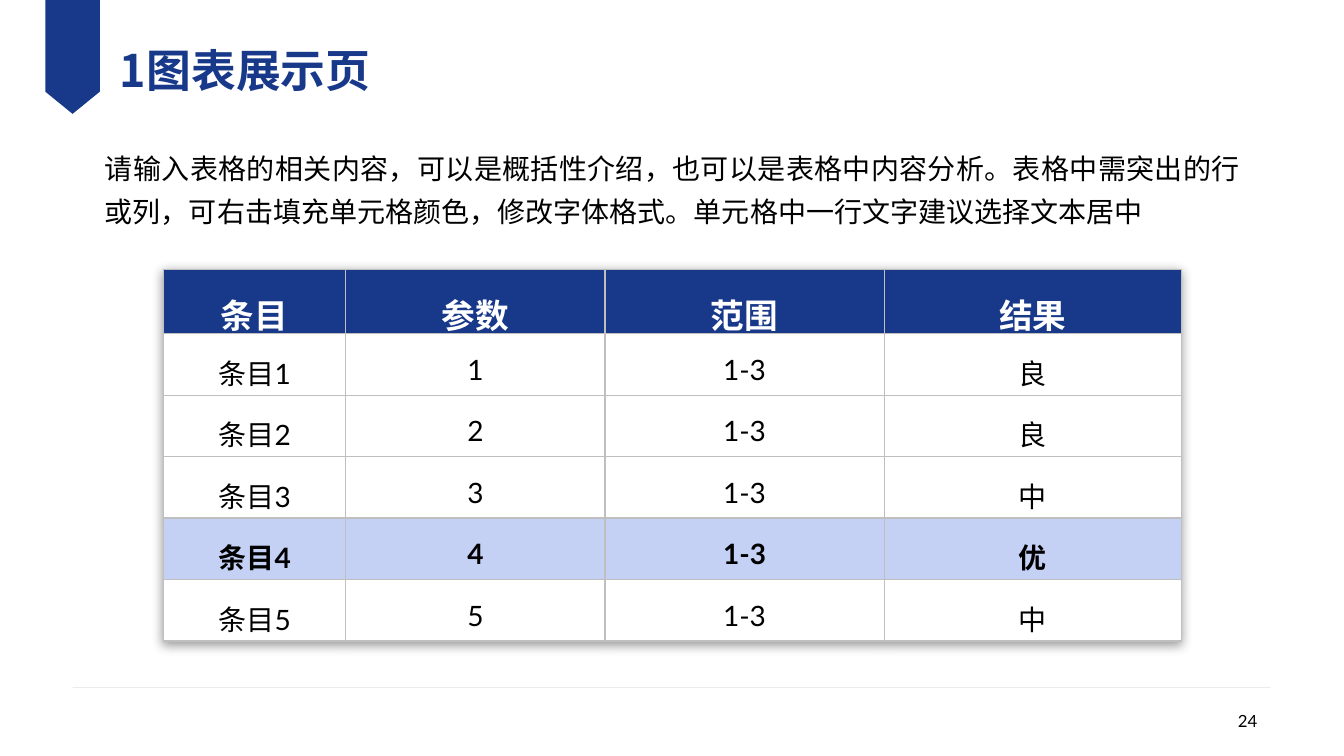
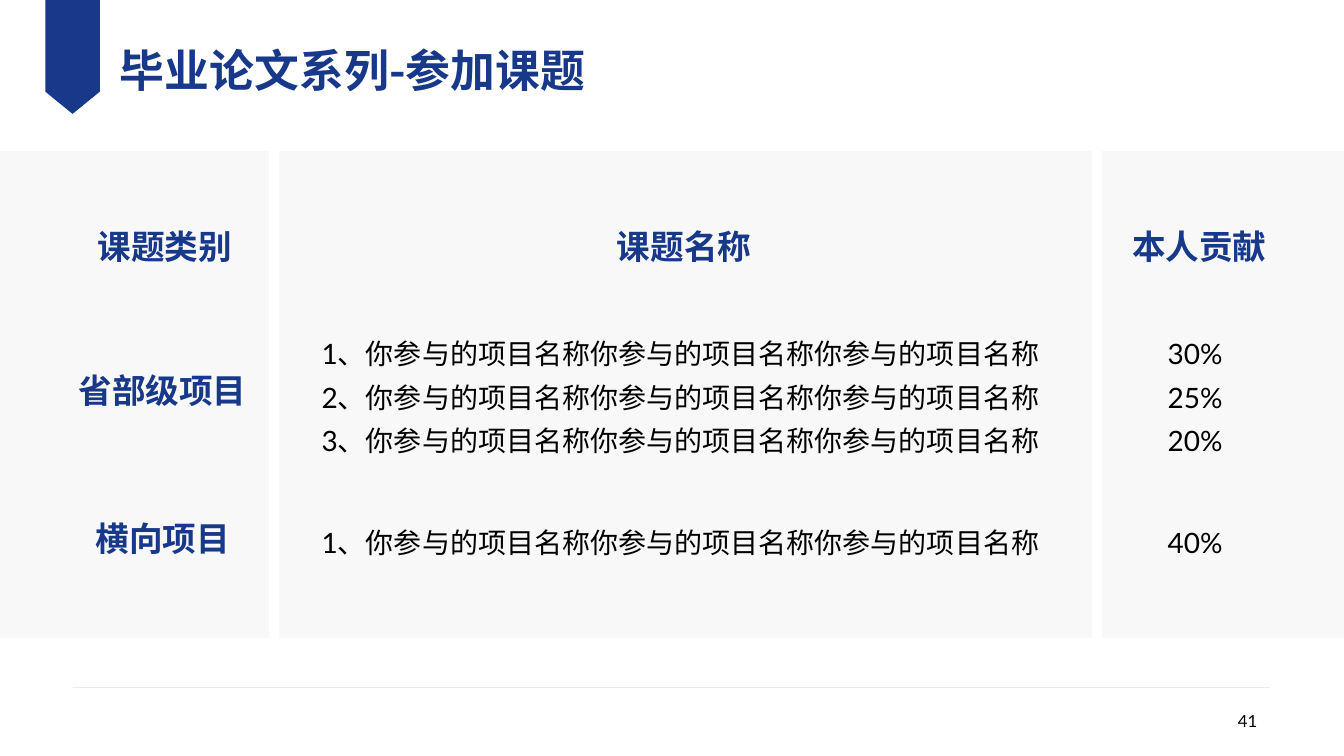
from lxml import etree
from pptx import Presentation
from pptx.dml.color import RGBColor
from pptx.enum.shapes import MSO_CONNECTOR, MSO_SHAPE
from pptx.enum.text import MSO_ANCHOR, MSO_AUTO_SIZE, PP_ALIGN
from pptx.oxml.ns import qn
from pptx.util import Inches, Pt

LEFT, CENTER, RIGHT = PP_ALIGN.LEFT, PP_ALIGN.CENTER, PP_ALIGN.RIGHT
JUSTIFY = PP_ALIGN.JUSTIFY
TOP, MIDDLE = MSO_ANCHOR.TOP, MSO_ANCHOR.MIDDLE
FIXED = MSO_AUTO_SIZE.NONE
RECT, STRAIGHT = MSO_SHAPE.RECTANGLE, MSO_CONNECTOR.STRAIGHT

NAVY, PALE, PANEL, GRAY = "18388A", "C4D1F5", "F2F2F2", "BFBFBF"
BLACK, WHITE = "000000", "FFFFFF"
LATIN, HAN = "Lato", "Noto Sans CJK SC"
WIDTH, HEIGHT = 13.33, 7.5

TABLE = [
    ("条目", "参数", "范围", "结果"),
    ("条目1", "1", "1-3", "良"),
    ("条目2", "2", "1-3", "良"),
    ("条目3", "3", "1-3", "中"),
    ("条目4", "4", "1-3", "优"),
    ("条目5", "5", "1-3", "中"),
]
BEST = 4
INTRO = ("请输入表格的相关内容，可以是概括性介绍，也可以是表格中内容分析。"
         "表格中需突出的行或列，可右击填充单元格颜色，修改字体格式。"
         "单元格中一行文字建议选择文本居中")
NAME = "你参与的项目名称" * 3


def color(code):
    return RGBColor.from_string(code)


def paint(shape, code):
    shape.fill.solid()
    shape.fill.fore_color.rgb = color(code)
    shape.line.fill.background()
    shape.shadow.inherit = False


def fade(shape, percent):
    tone = next(shape._element.iter(qn("a:srgbClr")))
    etree.SubElement(tone, qn("a:alpha"), val=str(percent * 1000))


def style(para, size, code, bold=False, align=LEFT, space=None, face=LATIN):
    para.alignment = align
    if space:
        para.line_spacing = space
    font = para.font
    font.size, font.bold, font.name = Pt(size), bold, face
    font.color.rgb = color(code)
    base = para._p.pPr.find(qn("a:defRPr"))
    etree.SubElement(base, qn("a:ea"), typeface=HAN)


def write(frame, lines, side=0.1, anchor=TOP, **look):
    frame.word_wrap = True
    frame.vertical_anchor = anchor
    frame.margin_left = frame.margin_right = Inches(side)
    frame.margin_top = frame.margin_bottom = Inches(0.05)
    for i, line in enumerate(lines):
        para = frame.add_paragraph() if i else frame.paragraphs[0]
        para.text = line
        style(para, **look)


def label(slide, box, lines, **look):
    shape = slide.shapes.add_textbox(*map(Inches, box))
    write(shape.text_frame, lines, **look)


def body(slide, box, lines, align=LEFT):
    label(slide, box, lines, side=0, size=20, code=BLACK, align=align, space=1.3)


def heading(slide, x, y, text, width=1.55):
    label(slide, (x, y, width, 0.5), [text], size=24, code=NAVY, bold=True)


def badge(slide, x, width, side, tip):
    start = slide.shapes.build_freeform(Inches(x), 0)
    points = [(x + width, 0), (x + width, side), (x + width / 2, tip), (x, side)]
    start.add_line_segments([(Inches(a), Inches(b)) for a, b in points])
    paint(start.convert_to_shape(), NAVY)


def rule(slide, x, y, width):
    line = slide.shapes.add_connector(
        STRAIGHT, Inches(x), Inches(y), Inches(x + width), Inches(y))
    line.line.width = Pt(0.25)
    line.line.color.rgb = color(GRAY)
    fade(line, 47)
    etree.SubElement(line._element.spPr, qn("a:effectLst"))


def base(deck, title, number):
    slide = deck.slides.add_slide(deck.slide_layouts[5])
    rule(slide, 0.72, 6.82, 11.88)
    badge(slide, 0.45, 0.54, 0.91, 1.13)
    head = slide.shapes.title
    head.left, head.top, head.width, head.height = map(
        Inches, (1.19, 0.26, 8.93, 0.86))
    write(head.text_frame, [title], side=0, anchor=MIDDLE,
          size=32, code=NAVY, bold=True, face=HAN)
    head.text_frame.auto_size = FIXED
    label(slide, (9.57, 6.95, 3, 0.4), [number], anchor=MIDDLE,
          size=12, code=BLACK, align=RIGHT)
    return slide


def border(cell):
    props = cell._tc.get_or_add_tcPr()
    for side in ("lnL", "lnR", "lnT", "lnB"):
        edge = etree.SubElement(props, qn("a:" + side), w=str(Pt(1)))
        fill = etree.SubElement(edge, qn("a:solidFill"))
        etree.SubElement(fill, qn("a:srgbClr"), val=GRAY)


def shade(table):
    props = table._tbl.tblPr
    effect = etree.Element(qn("a:effectLst"))
    props.insert(0, effect)
    cast = etree.SubElement(effect, qn("a:outerShdw"), blurRad=str(Pt(8)),
                            dist=str(Pt(2)), dir="5400000", algn="t")
    tone = etree.SubElement(cast, qn("a:srgbClr"), val=BLACK)
    etree.SubElement(tone, qn("a:alpha"), val="40000")


def grid(slide, x, y, widths, height):
    frame = slide.shapes.add_table(
        len(TABLE), len(widths), Inches(x), Inches(y),
        Inches(sum(widths)), Inches(height * len(TABLE)))
    table = frame.table
    table.first_row = table.horz_banding = False
    shade(table)
    for column, width in zip(table.columns, widths):
        column.width = Inches(width)
    for r, values in enumerate(TABLE):
        table.rows[r].height = Inches(height)
        top = r == 0
        back = NAVY if top else PALE if r == BEST else WHITE
        for c, value in enumerate(values):
            cell = table.cell(r, c)
            border(cell)
            cell.fill.solid()
            cell.fill.fore_color.rgb = color(back)
            cell.vertical_anchor = MIDDLE
            cell.margin_left = cell.margin_right = Inches(0.11)
            cell.margin_top = cell.margin_bottom = Inches(0.06)
            para = cell.text_frame.paragraphs[0]
            para.text = value
            style(para, 24 if top else 20, WHITE if top else BLACK,
                  bold=top or r == BEST, align=CENTER, space=1.3)


def panels(slide, y, height, widths, gap):
    x = 0
    for width in widths:
        panel = slide.shapes.add_shape(
            RECT, *map(Inches, (x, y, width, height)))
        paint(panel, PANEL)
        fade(panel, 50)
        x += width + gap


def group(slide, y, height, shares):
    names = [f"{i}、{NAME}" for i in range(1, len(shares) + 1)]
    body(slide, (3.19, y, 7.2, height), names)
    body(slide, (11.58, y, 0.65, height), shares)


def chart_page(deck):
    slide = base(deck, "1图表展示页", "24")
    grid(slide, 1.62, 2.67, (1.81, 2.57, 2.77, 2.95), 0.61)
    body(slide, (1.04, 1.35, 11.26, 1.06), [INTRO], JUSTIFY)


def topic_page(deck):
    slide = base(deck, "毕业论文系列-参加课题", "41")
    panels(slide, 1.5, 4.83, (2.67, 8.06, 2.4), 0.1)
    for x, text in ((0.87, "课题类别"), (6.02, "课题名称"), (11.13, "本人贡献")):
        heading(slide, x, 2.19, text)
    heading(slide, 0.68, 3.62, "省部级项目", 1.88)
    group(slide, 3.19, 1.37, ["30%", "25%", "20%"])
    heading(slide, 0.85, 5.09, "横向项目")
    group(slide, 5.06, 0.58, ["40%"])


def main():
    deck = Presentation()
    deck.slide_width, deck.slide_height = Inches(WIDTH), Inches(HEIGHT)
    chart_page(deck)
    topic_page(deck)
    deck.save("out.pptx")


if __name__ == "__main__":
    main()
